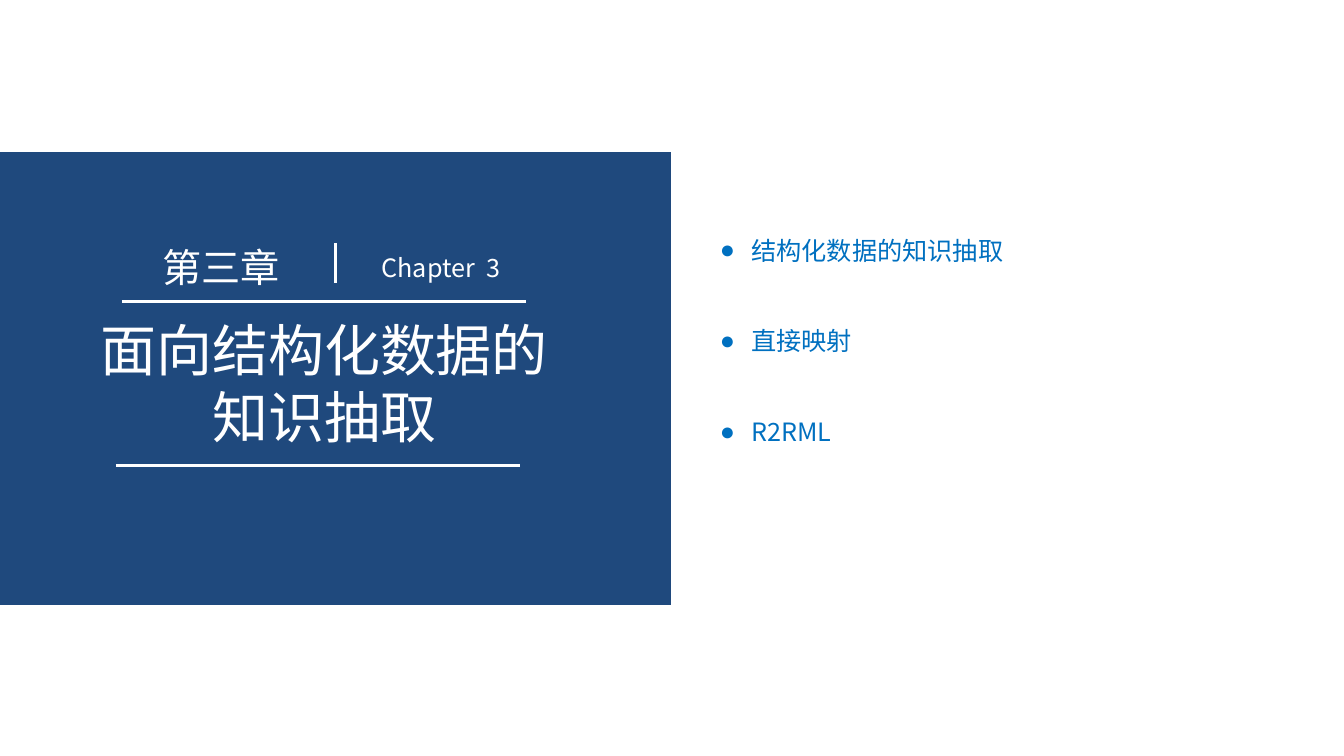
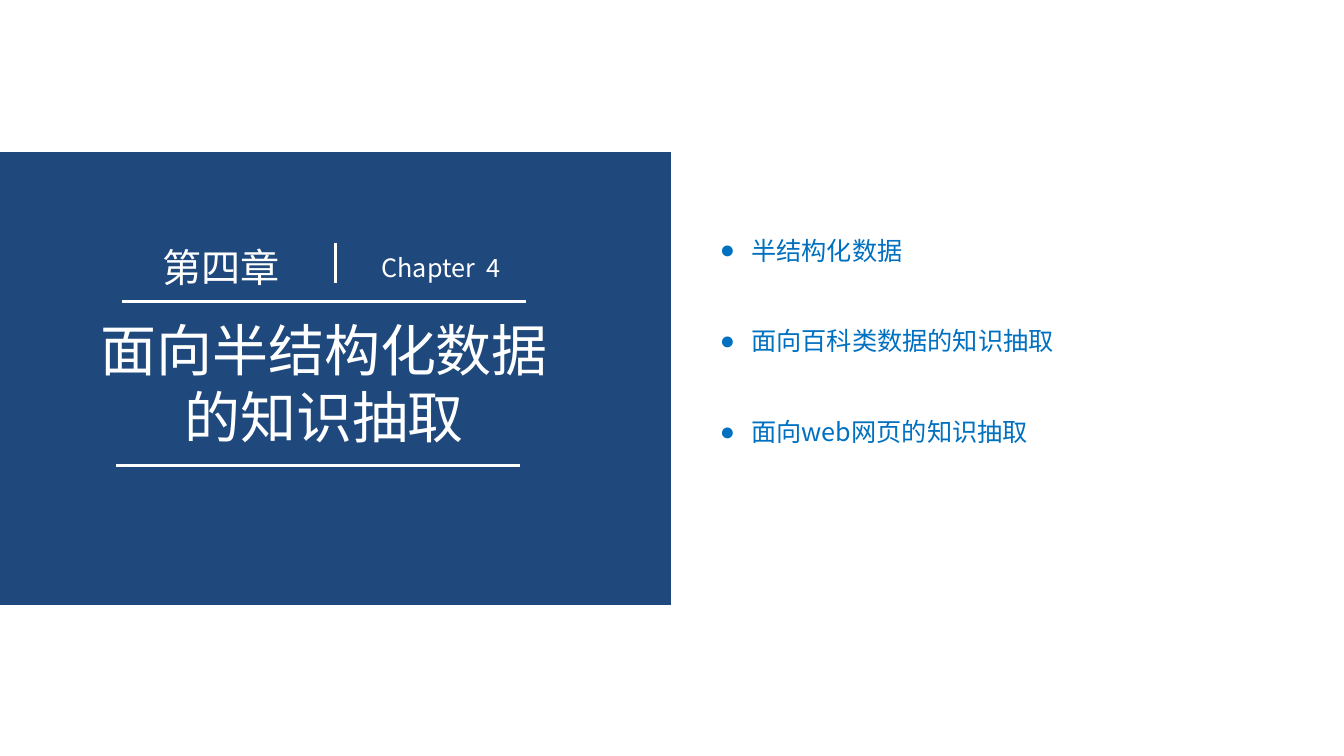
"""Build two chapter divider slides with a blue title band and a topic list."""
from dataclasses import dataclass
from typing import NamedTuple

from lxml.etree import SubElement
from pptx import Presentation
from pptx.dml.color import RGBColor
from pptx.enum.shapes import MSO_CONNECTOR as Connector, MSO_SHAPE as Shape
from pptx.enum.text import MSO_ANCHOR as Anchor, MSO_AUTO_SIZE as AutoSize, PP_ALIGN as Align
from pptx.oxml.ns import qn
from pptx.util import Pt

COLORS = {"band": "1F497D", "light": "FFFFFF", "topic": "0070C0"}
FONT = "Noto Sans CJK SC"
TOPIC_SIZE = 18
TOPIC_GAP = 32.4
TOPIC_INDENT = 22.5


class Box(NamedTuple):
    left: float
    top: float
    width: float
    height: float


class Rule(NamedTuple):
    x1: float
    y1: float
    x2: float
    y2: float


@dataclass
class Chapter:
    label: str
    number: str
    title: str
    topics: list[str]


BAND = Box(-0.7, 108.7, 480, 323.5)
LABEL = Box(62, 170, 191.5, 41)
NUMBER = Box(231, 176.4, 168, 29)
TITLE = Box(54, 221, 355, 104.5)
TOPICS = Box(507, 153.4, 427, 232.5)
RULES = [
    Rule(239.8, 173.5, 239.8, 202.5),
    Rule(82.8, 332.6, 371.5, 332.6),
    Rule(87.1, 215.3, 375.8, 215.3),
]

CHAPTERS = [
    Chapter("第三章", "Chapter  3", "面向结构化数据的知识抽取",
            ["结构化数据的知识抽取", "直接映射", "R2RML"]),
    Chapter("第四章", "Chapter  4", "面向半结构化数据的知识抽取",
            ["半结构化数据", "面向百科类数据的知识抽取", "面向web网页的知识抽取"]),
]


def rgb(name: str) -> RGBColor:
    return RGBColor.from_string(COLORS[name])


def place(sp, box: Box) -> None:
    sp.left, sp.top, sp.width, sp.height = map(Pt, box)


def format_runs(p, size: float, color: str) -> None:
    for r in p.runs:
        r.font.name = FONT
        r.font.size = Pt(size)
        r.font.color.rgb = rgb(color)
        SubElement(r.font._element, qn("a:ea"), typeface=FONT)


def setup_frame(tf, anchor) -> None:
    tf.word_wrap = True
    tf.auto_size = AutoSize.NONE
    tf.vertical_anchor = anchor


def set_heading(sp, text: str, size: float) -> None:
    tf = sp.text_frame
    setup_frame(tf, Anchor.MIDDLE)
    tf.text = text
    p = tf.paragraphs[0]
    p.alignment = Align.CENTER
    format_runs(p, size, "light")


def add_band(s) -> None:
    sp = s.shapes.add_shape(Shape.RECTANGLE, *map(Pt, BAND))
    sp.shadow.inherit = False
    sp.fill.solid()
    sp.fill.fore_color.rgb = rgb("band")
    sp.line.fill.background()
    s.shapes._spTree.insert(2, sp._element)


def add_rule(s, rule: Rule) -> None:
    line = s.shapes.add_connector(Connector.STRAIGHT, *map(Pt, rule))
    line.line.color.rgb = rgb("light")
    line.line.width = Pt(2)
    SubElement(line._element.spPr, qn("a:effectLst"))


def set_topics(sp, topics: list[str]) -> None:
    tf = sp.text_frame
    setup_frame(tf, Anchor.TOP)
    for i, topic in enumerate(topics):
        p = tf.add_paragraph() if i else tf.paragraphs[0]
        p.text = topic
        pPr = p._p.get_or_add_pPr()
        pPr.set("marL", str(Pt(TOPIC_INDENT)))
        pPr.set("indent", str(-Pt(TOPIC_INDENT)))
        SubElement(pPr, qn("a:buChar"), char="●")
        p.line_spacing = 1.5
        p.space_before = Pt(TOPIC_GAP if i else 0)
        format_runs(p, TOPIC_SIZE, "topic")


def add_chapter(prs, chapter: Chapter) -> None:
    s = prs.slides.add_slide(prs.slide_layouts[1])
    add_band(s)
    title, body = s.placeholders
    place(title, TITLE)
    set_heading(title, chapter.title, 40)
    for box, text, size in ((LABEL, chapter.label, 28), (NUMBER, chapter.number, 18)):
        set_heading(s.shapes.add_textbox(*map(Pt, box)), text, size)
    for rule in RULES:
        add_rule(s, rule)
    place(body, TOPICS)
    set_topics(body, chapter.topics)


def main() -> None:
    prs = Presentation()
    prs.slide_width, prs.slide_height = Pt(960), Pt(540)
    for chapter in CHAPTERS:
        add_chapter(prs, chapter)
    prs.save("out.pptx")


if __name__ == "__main__":
    main()
